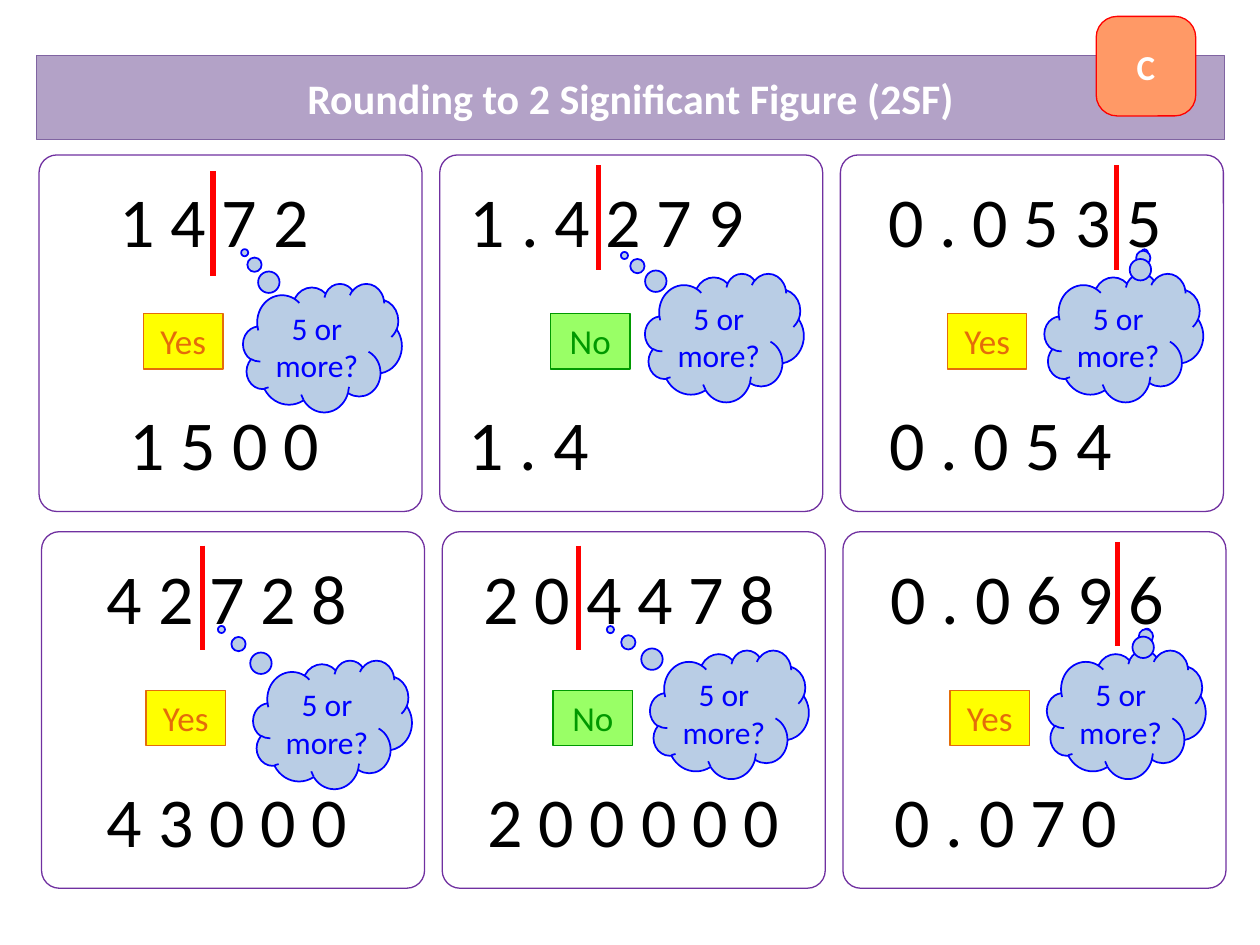
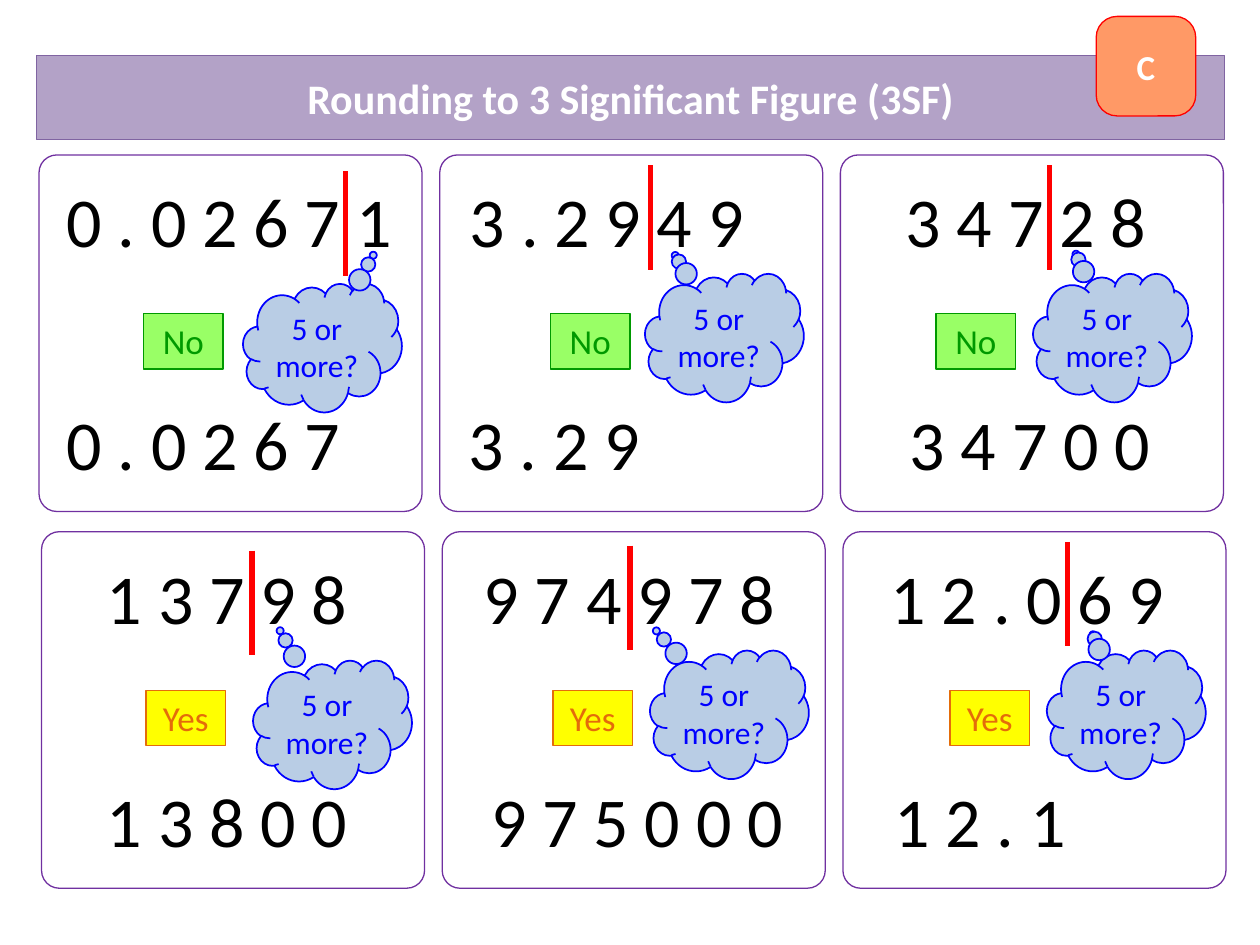
from dataclasses import dataclass
from typing import Any

from pptx import Presentation
from pptx.dml.color import RGBColor
from pptx.enum.shapes import MSO_CONNECTOR, MSO_SHAPE
from pptx.enum.text import MSO_ANCHOR, MSO_AUTO_SIZE, PP_ALIGN
from pptx.oxml import parse_xml
from pptx.oxml.ns import nsdecls
from pptx.util import Inches, Pt

ROUNDED, RECTANGLE = MSO_SHAPE.ROUNDED_RECTANGLE, MSO_SHAPE.RECTANGLE
CLOUD = MSO_SHAPE.CLOUD_CALLOUT
STRAIGHT = MSO_CONNECTOR.STRAIGHT
CENTER, LEFT = PP_ALIGN.CENTER, PP_ALIGN.LEFT
MIDDLE, TOP = MSO_ANCHOR.MIDDLE, MSO_ANCHOR.TOP
FIXED, GROW = MSO_AUTO_SIZE.NONE, MSO_AUTO_SIZE.SHAPE_TO_FIT_TEXT
TITLE_ONLY_LAYOUT = 5


@dataclass(frozen=True)
class TextStyle:
    size: int
    color: str
    bold: bool = False
    align: Any = CENTER
    anchor: Any = TOP
    auto_size: Any = GROW


@dataclass(frozen=True)
class Paint:
    line: str
    fill: str | None = None
    width: float = 0.75


@dataclass(frozen=True)
class Theme:
    font: str = "Calibri"
    title: TextStyle = TextStyle(24, "FFFFFF", True, CENTER, MIDDLE, FIXED)
    grade: TextStyle = TextStyle(20, "FFFFFF", True, CENTER, MIDDLE, FIXED)
    digits: TextStyle = TextStyle(40, "000000", align=LEFT)
    question: TextStyle = TextStyle(18, "0000FF")
    yes: TextStyle = TextStyle(20, "E46C0A")
    no: TextStyle = TextStyle(20, "009900")
    title_paint: Paint = Paint("8064A2", "B3A2C7")
    grade_paint: Paint = Paint("FF0000", "FF9966")
    panel_paint: Paint = Paint("7030A0")
    cloud_paint: Paint = Paint("0000FF", "B9CDE5", 1)
    yes_paint: Paint = Paint("E46C0A", "FFFF00")
    no_paint: Paint = Paint("009900", "99FF66")
    cut_paint: Paint = Paint("FF0000", width=3)


THEME = Theme()


@dataclass(frozen=True)
class Box:
    left: float
    top: float
    width: float
    height: float

    def emu(self) -> tuple:
        return tuple(map(Inches, (self.left, self.top, self.width, self.height)))


@dataclass(frozen=True)
class Example:
    """One rounding example; lengths are measured from its panel's corner."""
    number: str
    rounded: str
    round_up: bool
    number_dx: float
    rounded_dx: float
    cut_dx: float
    cut_dy: float
    pointer: tuple[float, float]
    shift: float = 0  # moves verdict and cloud together


@dataclass(frozen=True)
class Lesson:
    figures: int
    examples: tuple[Example, ...]


TITLE_BOX = Box(0.29, 0.44, 9.43, 0.67)
GRADE_BOX = Box(8.7, 0.13, 0.79, 0.79)
COLUMNS = 3
PANEL_LEFT, PANEL_TOP = 0.31, 1.23
COLUMN_STEP, ROW_STEP, ROW_INDENT = 3.18, 2.99, 0.02
VERDICT_DX = (0.83, 0.88, 0.85)
CLOUD_DX = ((1.62, 1.63, 1.62), (1.68, 1.65, 1.62))
CLOUD_DY = (1.02, 0.94, 0.94)
CUT_HEIGHT = 0.83

LESSONS = (
    Lesson(2, (
        Example("1 4 7 2", "1 5 0 0", True, 0.54, 0.62, 1.38, 0.13, (-0.49, -0.74)),
        Example("1 . 4 2 7 9", "1 . 4", False, 0.14, 0.13, 1.26, 0.08, (-0.63, -0.64)),
        Example("0 . 0 5 3 5", "0 . 0 5 4", True, 0.28, 0.29, 2.19, 0.08, (0.13, -0.66)),
        Example("4 2 7 2 8", "4 3 0 0 0", True, 0.42, 0.42, 1.28, 0.11, (-0.7, -0.74)),
        Example("2 0 4 4 7 8", "2 0 0 0 0 0", False, 0.23, 0.26, 1.08, 0.11, (-0.75, -0.66)),
        Example("0 . 0 6 9 6", "0 . 0 7 0", True, 0.28, 0.31, 2.18, 0.08, (0.13, -0.64)),
    )),
    Lesson(3, (
        Example("0 . 0 2 6 7 1", "0 . 0 2 6 7", False, 0.12, 0.12, 2.43, 0.13, (0.32, -0.72)),
        Example("3 . 2 9 4 9", "3 . 2 9", False, 0.14, 0.13, 1.67, 0.08, (-0.31, -0.64)),
        Example("3 4 7 2 8", "3 4 7 0 0", False, 0.42, 0.45, 1.66, 0.08, (-0.23, -0.65), -0.09),
        Example("1 3 7 9 8", "1 3 8 0 0", True, 0.42, 0.42, 1.67, 0.15, (-0.33, -0.73)),
        Example("9 7 4 9 7 8", "9 7 5 0 0 0", True, 0.23, 0.29, 1.49, 0.11, (-0.46, -0.65)),
        Example("1 2 . 0 6 9", "1 2 . 1", True, 0.28, 0.31, 1.78, 0.08, (-0.21, -0.62)),
    )),
)


def set_values(target: Any, values: dict[str, Any]) -> None:
    for name, value in values.items():
        setattr(target, name, value)


def write(shape: Any, text: str, style: TextStyle) -> None:
    frame = shape.text_frame
    frame.text = text
    set_values(frame, {"word_wrap": True, "auto_size": style.auto_size,
                       "vertical_anchor": style.anchor})
    paragraph = frame.paragraphs[0]
    paragraph.alignment = style.align
    font = paragraph.runs[0].font
    set_values(font, {"name": THEME.font, "size": Pt(style.size), "bold": style.bold})
    font.color.rgb = RGBColor.from_string(style.color)


def paint_line(shape: Any, paint: Paint) -> None:
    shape.line.color.rgb = RGBColor.from_string(paint.line)
    shape.line.width = Pt(paint.width)


def paint_shape(shape: Any, paint: Paint) -> None:
    if paint.fill:
        shape.fill.solid()
        shape.fill.fore_color.rgb = RGBColor.from_string(paint.fill)
    else:
        shape.fill.background()
    paint_line(shape, paint)
    shape.shadow.inherit = False


def add_painted(shapes: Any, kind: Any, box: Box, paint: Paint,
                adjustments: tuple[float, ...] = ()) -> Any:
    shape = shapes.add_shape(kind, *box.emu())
    for index, value in enumerate(adjustments):
        shape.adjustments[index] = value
    paint_shape(shape, paint)
    return shape


def add_text(shapes: Any, box: Box, text: str, style: TextStyle) -> None:
    write(shapes.add_textbox(*box.emu()), text, style)


def add_digits(slide: Any, left: float, top: float, text: str) -> None:
    digit_count = sum(character.isdigit() for character in text)
    width = 2.8 if digit_count >= 6 else 2.42
    add_text(slide.shapes, Box(left, top, width, 0.77), text, THEME.digits)


def add_cut(slide: Any, x: float, top: float) -> None:
    """Draw the line after the last significant figure."""
    cut = slide.shapes.add_connector(
        STRAIGHT, *map(Inches, (x, top, x, top + CUT_HEIGHT)))
    paint_line(cut, THEME.cut_paint)
    cut._element.spPr.append(parse_xml(f"<a:effectLst {nsdecls('a')}/>"))


def add_question(slide: Any, left: float, top: float,
                 pointer: tuple[float, float]) -> None:
    thought = slide.shapes.add_group_shape().shapes
    add_painted(thought, CLOUD, Box(left, top, 1.26, 1.02), THEME.cloud_paint, pointer)
    add_text(thought, Box(left + 0.06, top + 0.15, 1.05, 0.71),
             "5 or more?", THEME.question)


def add_verdict(slide: Any, left: float, top: float, round_up: bool) -> None:
    text, style, paint = (("Yes", THEME.yes, THEME.yes_paint) if round_up
                          else ("No", THEME.no, THEME.no_paint))
    verdict = add_painted(slide.shapes, RECTANGLE, Box(left, top, 0.63, 0.44), paint)
    write(verdict, text, style)


def add_example(slide: Any, example: Example, position: int) -> None:
    row, column = divmod(position, COLUMNS)
    left = PANEL_LEFT + column * COLUMN_STEP + row * ROW_INDENT
    top = PANEL_TOP + row * ROW_STEP
    add_painted(slide.shapes, ROUNDED, Box(left, top, 3.04, 2.83),
                THEME.panel_paint, (0.05,))
    add_cut(slide, left + example.cut_dx, top + example.cut_dy)
    add_digits(slide, left + example.number_dx, top + 0.13, example.number)
    add_verdict(slide, left + VERDICT_DX[column] + example.shift, top + 1.26,
                example.round_up)
    add_question(slide, left + CLOUD_DX[row][column] + example.shift,
                 top + CLOUD_DY[column], example.pointer)
    add_digits(slide, left + example.rounded_dx, top + 1.9, example.rounded)


def format_title(title: Any, text: str) -> None:
    """Turn the title placeholder into the rounded band."""
    set_values(title, dict(zip(("left", "top", "width", "height"), TITLE_BOX.emu())))
    title._element.spPr.append(parse_xml(
        f'<a:prstGeom {nsdecls("a")} prst="roundRect"><a:avLst/></a:prstGeom>'))
    title.adjustments[0] = 0.21
    paint_shape(title, THEME.title_paint)
    write(title, text, THEME.title)


def add_lesson(presentation: Any, lesson: Lesson) -> None:
    slide = presentation.slides.add_slide(presentation.slide_layouts[TITLE_ONLY_LAYOUT])
    count = lesson.figures
    format_title(slide.shapes.title, f"Rounding to {count} Significant Figure ({count}SF)")
    for position, example in enumerate(lesson.examples):
        add_example(slide, example, position)
    grade = add_painted(slide.shapes, ROUNDED, GRADE_BOX, THEME.grade_paint, (0.21,))
    write(grade, "C", THEME.grade)


def main() -> None:
    presentation = Presentation()
    set_values(presentation, {"slide_width": Inches(10), "slide_height": Inches(7.5)})
    for lesson in LESSONS:
        add_lesson(presentation, lesson)
    presentation.save("out.pptx")


if __name__ == "__main__":
    main()
